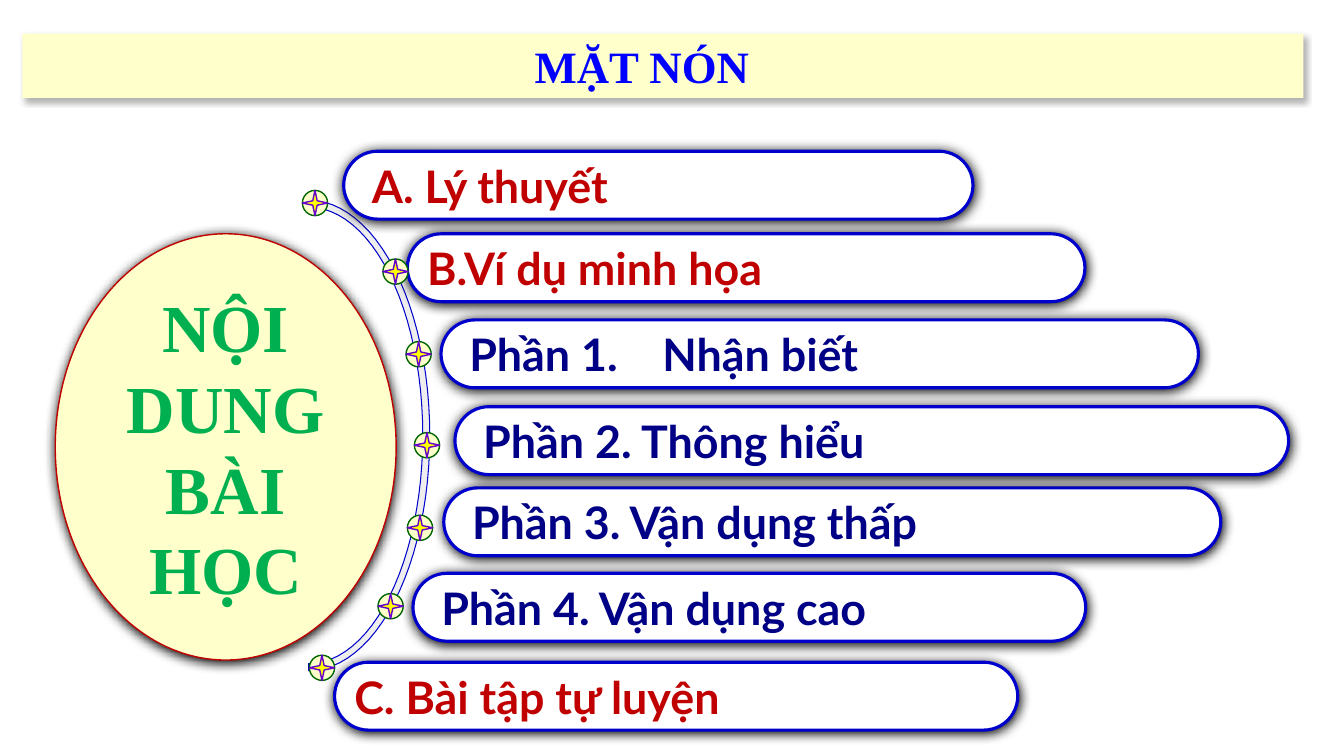
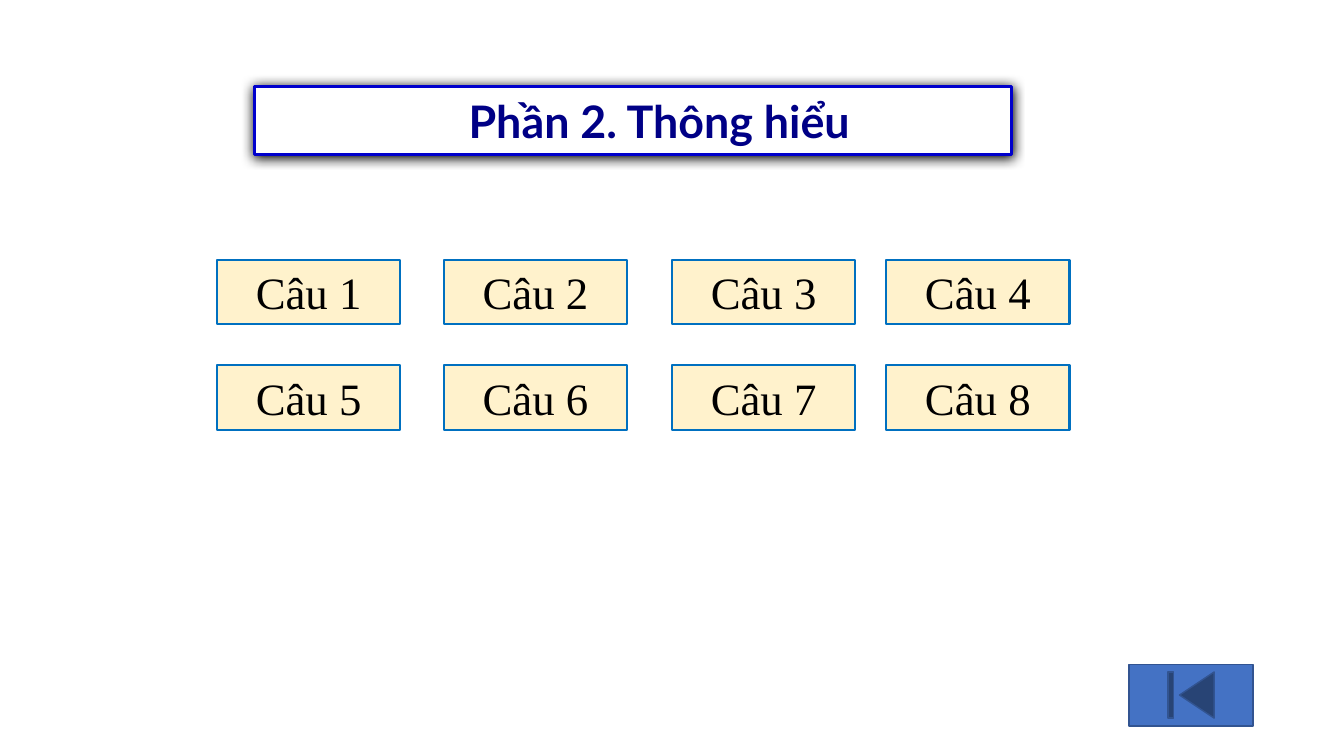
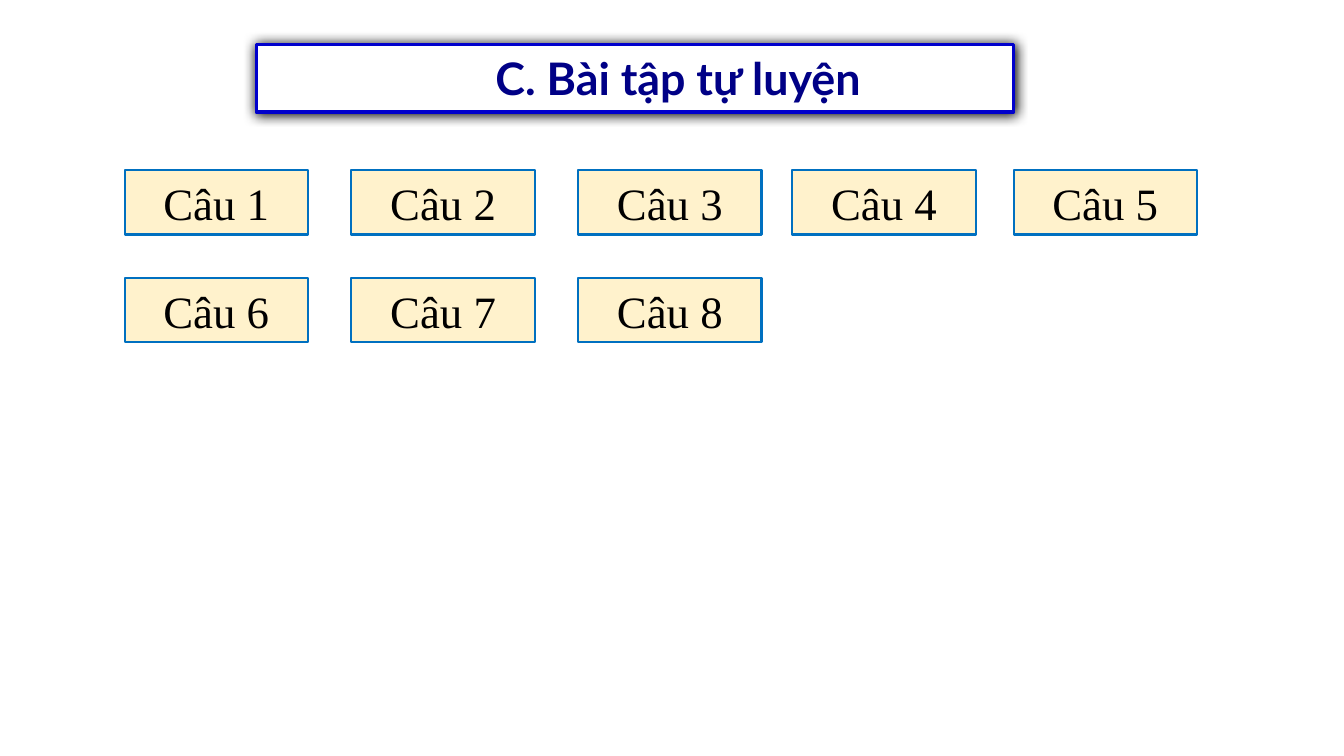
from math import cos, pi, sin

from pptx import Presentation
from pptx.dml.color import RGBColor
from pptx.enum.shapes import MSO_SHAPE
from pptx.enum.text import MSO_ANCHOR, MSO_AUTO_SIZE, PP_ALIGN
from pptx.oxml import parse_xml
from pptx.oxml.ns import nsdecls, qn
from pptx.util import Pt

SERIF, SANS = "Times New Roman", "Lato"
CREAM, WHITE, BLUE, NAVY, RED = "FFFFCC", "FFFFFF", "0000CC", "000086", "C00000"
TEXT_SIZE = 32
PILL_HEIGHT = 48.5
INSET = 7.2
SPACE_INDENT = 6
GLOW = (100, 8.5, 1, 90)
DROP_SHADOW = (30, 4.5, 2.6, 53)

# text, colour, left, top, width, first-line indent
TOPICS = [
    ("B.Ví dụ minh họa", RED, 291, 167, 484, 0),
    ("A. Lý thuyết", RED, 245.5, 108, 449.5, SPACE_INDENT),
    ("Phần 1. \tNhận biết", NAVY, 315, 228.5, 541, SPACE_INDENT),
    ("Phần 3. Vận dụng thấp", NAVY, 317, 348.5, 555, SPACE_INDENT),
    ("Phần 2. Thông hiểu", NAVY, 325, 290.5, 595.5, SPACE_INDENT),
    ("Phần 4. Vận dụng cao", NAVY, 295, 409.5, 480.5, SPACE_INDENT),
    ("C. Bài tập tự luyện", RED, 239, 473, 488, 0),
]
MARKERS = [(216, 136), (273.5, 185), (290, 244), (296, 309),
           (291, 368), (270, 424), (221, 468)]


def color(value):
    return RGBColor.from_string(value)


def paint(shape, fill, line=None, width=1, shadow=None):
    """Set fill, outline and shadow (opacity %, blur, distance, angle)."""
    shape.fill.solid()
    shape.fill.fore_color.rgb = color(fill)
    if line:
        shape.line.color.rgb = color(line)
        shape.line.width = Pt(width)
    else:
        shape.line.fill.background()
    shape.shadow.inherit = False
    if shadow:
        opacity, blur, distance, angle = shadow
        effects = shape._element.spPr.find(qn("a:effectLst"))
        effects.append(parse_xml(
            f'<a:outerShdw {nsdecls("a")} blurRad="{Pt(blur)}" dist="{Pt(distance)}" '
            f'dir="{angle * 60000}" algn="ctr" rotWithShape="0"><a:srgbClr val="000000">'
            f'<a:alpha val="{opacity * 1000}"/></a:srgbClr></a:outerShdw>'))


def write(shape, text, font, ink, size=TEXT_SIZE, bold=True,
          align=PP_ALIGN.CENTER, shift=0):
    """Fill in one paragraph; shift moves centred text sideways."""
    frame = shape.text_frame
    frame.word_wrap = True
    frame.auto_size = MSO_AUTO_SIZE.NONE
    frame.vertical_anchor = MSO_ANCHOR.MIDDLE
    frame.margin_left = Pt(INSET + max(0, 2 * shift))
    frame.margin_right = Pt(INSET + max(0, -2 * shift))
    frame.margin_top = frame.margin_bottom = Pt(3.6)
    paragraph = frame.paragraphs[0]
    paragraph.text = text
    paragraph.alignment = align
    paragraph.font.name = font
    paragraph.font.size = Pt(size)
    paragraph.font.bold = bold
    paragraph.font.color.rgb = color(ink)
    return paragraph


def add_box(shapes, kind, left, top, width, height):
    return shapes.add_shape(kind, Pt(left), Pt(top), Pt(width), Pt(height))


def place_title(slide, left, top, width, height):
    title = slide.shapes.title
    title.left, title.top = Pt(left), Pt(top)
    title.width, title.height = Pt(width), Pt(height)
    return title


def paint_pill(shape):
    paint(shape, WHITE, BLUE, 2.25, GLOW)


def add_pill_title(slide, text, left, top, shift):
    title = place_title(slide, left, top, 541, PILL_HEIGHT)
    title._element.spPr.append(parse_xml(
        f'<a:prstGeom {nsdecls("a")} prst="roundRect"><a:avLst>'
        '<a:gd name="adj" fmla="val 50000"/></a:avLst></a:prstGeom>'))
    paint_pill(title)
    write(title, text, SANS, NAVY, shift=shift)


def add_topic(slide, text, ink, left, top, width, indent):
    pill = add_box(slide.shapes, MSO_SHAPE.ROUNDED_RECTANGLE, left, top, width, PILL_HEIGHT)
    pill.adjustments[0] = 0.5
    paint_pill(pill)
    paragraph = write(pill, text, SANS, ink, align=PP_ALIGN.LEFT)
    paragraph._p.get_or_add_pPr().set("indent", str(Pt(indent)))


def add_arc(slide, center_x, center_y, radius_x, radius_y, thickness, steps=48):
    """Draw the right half of an elliptical ring."""
    angles = [pi * step / steps - pi / 2 for step in range(steps + 1)]

    def edge(inset, order):
        return [(Pt(center_x + (radius_x - inset) * cos(angle)),
                 Pt(center_y + (radius_y - inset) * sin(angle))) for angle in order]

    points = edge(0, angles) + edge(thickness, reversed(angles))
    builder = slide.shapes.build_freeform(*points[0])
    builder.add_line_segments(points[1:], close=True)
    paint(builder.convert_to_shape(), "EEEEEE", BLUE, 0.75)


def add_marker(slide, left, top, size=18):
    group = slide.shapes.add_group_shape()
    for kind, fill, line in ((MSO_SHAPE.OVAL, CREAM, "006600"),
                             (MSO_SHAPE.STAR_4_POINT, "FFFF00", "6600CC")):
        paint(add_box(group.shapes, kind, left, top, size, size), fill, line)


def add_question_grid(slide, columns, top, pitch, count=8):
    for index in range(count):
        row, column = divmod(index, len(columns))
        button = add_box(slide.shapes, MSO_SHAPE.RECTANGLE,
                         columns[column], top + row * pitch, 131, 46)
        paint(button, "FFF2CC", "0070C0", 1.5)
        write(button, f"Câu {index + 1}", SERIF, "000000", bold=False)


def build_contents(slide):
    title = place_title(slide, 16, 24, 915, 46)
    paint(title, CREAM, shadow=DROP_SHADOW)
    write(title, "MẶT NÓN", SERIF, "0000FF", shift=-15)
    add_arc(slide, 220.5, 311, 86.5, 168, 5)
    for topic in TOPICS:
        add_topic(slide, *topic)
    for left, top in MARKERS:
        add_marker(slide, left, top)
    heading = add_box(slide.shapes, MSO_SHAPE.OVAL, 39.5, 167, 243.5, 304.5)
    paint(heading, CREAM, RED, 1, GLOW)
    write(heading, "NỘI DUNG BÀI HỌC", SERIF, "00B050", size=48)


def build_part_two(slide):
    add_pill_title(slide, "Phần 2. Thông hiểu", 181.5, 62, 19)
    add_question_grid(slide, [155, 317, 480, 633], 185.5, 75.5)
    back = add_box(slide.shapes, MSO_SHAPE.ACTION_BUTTON_BEGINNING, 806.5, 474.5, 88.5, 44)
    paint(back, "4472C4", "325491")


def build_exercises(slide):
    add_pill_title(slide, "C. Bài tập tự luyện", 183, 31.5, 31)
    add_question_grid(slide, [89, 251, 413, 566, 724], 121.5, 77)


def main():
    presentation = Presentation()
    presentation.slide_width, presentation.slide_height = Pt(960), Pt(540)
    title_only = presentation.slide_layouts[5]
    for build in (build_contents, build_part_two, build_exercises):
        build(presentation.slides.add_slide(title_only))
    presentation.save("out.pptx")


if __name__ == "__main__":
    main()
